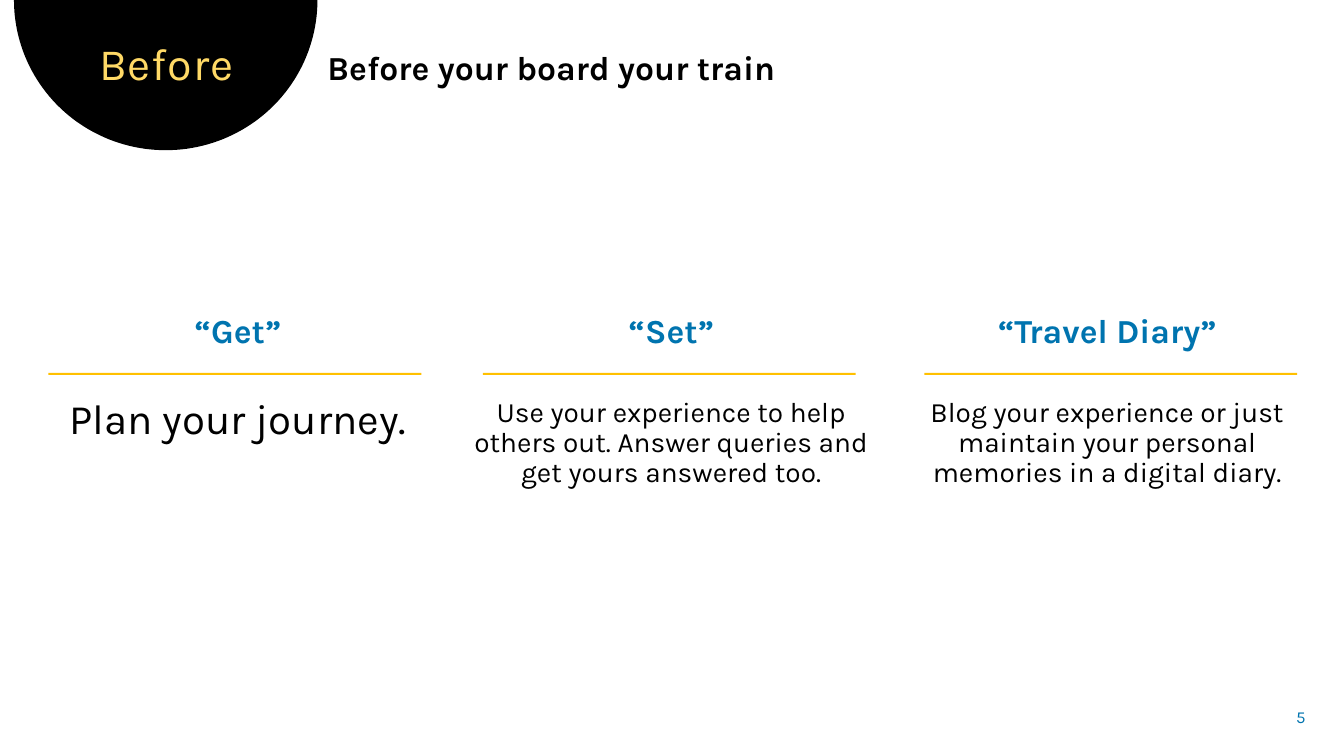
import math

import pptx
import pptx.dml.color
import pptx.enum.text
import pptx.util

ALIGN = pptx.enum.text.PP_ALIGN
ANCHOR = pptx.enum.text.MSO_ANCHOR


def color(value):
    return pptx.dml.color.RGBColor.from_string(value)


class Deck:
    """Style and current slide, measured on a grid of 96 columns by 54 rows."""
    COLS, ROWS = 96, 54
    FONT = "Karla"
    BLACK, BLUE, GOLD, PALE = "000000", "0074AF", "FFC000", "FFD966"

    def __init__(self, prs):
        self.cell_w = prs.slide_width / self.COLS
        self.cell_h = prs.slide_height / self.ROWS
        self.s = prs.slides.add_slide(prs.slide_layouts[6])

    def point(self, col, row):
        return round(col * self.cell_w), round(row * self.cell_h)

    def box(self, col, row, cols, rows):
        return *self.point(col, row), *self.point(cols, rows)

    def paint(self, sp, fill):
        sp.shadow.inherit = False
        sp.fill.solid()
        sp.fill.fore_color.rgb = color(fill)
        sp.line.fill.background()

    def half_disc(self, center, rx, ry, fill, steps=90):
        arc = [self.point(center + rx * math.cos(math.pi * i / steps),
                          ry * math.sin(math.pi * i / steps))
               for i in range(steps + 1)]
        outline = self.s.shapes.build_freeform(*arc[0])
        outline.add_line_segments(arc[1:], close=True)
        self.paint(outline.convert_to_shape(), fill)

    def rule(self, col, row, cols, rows=0.14):
        sp = self.s.shapes.add_shape(pptx.enum.shapes.MSO_SHAPE.RECTANGLE,
                                     *self.box(col, row, cols, rows))
        self.paint(sp, self.GOLD)

    def text(self, area, align, *paragraphs, anchor=ANCHOR.TOP, spacing=0.9):
        """Each paragraph is (text, size, colour, bold, space after)."""
        tf = self.s.shapes.add_textbox(*self.box(*area)).text_frame
        tf.word_wrap = True
        tf.vertical_anchor = anchor
        for i, (words, size, ink, bold, after) in enumerate(paragraphs):
            p = tf.add_paragraph() if i else tf.paragraphs[0]
            p.text = words
            p.alignment = align
            p.line_spacing = spacing
            p.space_before = pptx.util.Pt(10 if i else 0)
            p.space_after = pptx.util.Pt(after)
            p.font.name = self.FONT
            p.font.size = pptx.util.Pt(size)
            p.font.bold = bold
            p.font.color.rgb = color(ink)
        return tf


def main():
    prs = pptx.Presentation()
    prs.slide_width = pptx.util.Inches(13.33)
    prs.slide_height = pptx.util.Inches(7.5)
    deck = Deck(prs)

    # Header: half disc with the stage name, and the heading beside it
    deck.half_disc(11.84, 10.84, 10.73, deck.BLACK)
    tf = deck.text((2.52, 2.66, 18.72, 4.25), ALIGN.CENTER,
                   ("Before", 32, deck.PALE, False, 0))
    tf.paragraphs[0].runs[0].font._element.set("spc", "60")
    deck.text((22.68, 3.31, 71.5, 3.31), ALIGN.LEFT,
              ("Before your board your train", 24, deck.BLACK, True, 0))

    # Three columns: text left and width, rule left, heading, body, body size
    columns = [
        (2.38, 29.23, 3.46, "“Get”", "Plan your journey.", 30),
        (32.83, 30.24, 34.49, "“Set”",
         "Use your experience to help others out. "
         "Answer queries and get yours answered too.", 20),
        (64.22, 29.74, 66.02, "“Travel Diary”",
         "Blog your experience or just maintain your personal "
         "memories in a digital diary.", 20),
    ]
    for left, width, rule_left, heading, body, size in columns:
        deck.text((left, 22.1, width, 13.32), ALIGN.CENTER,
                  (heading, 24, deck.BLUE, True, 24),
                  (body, size, deck.BLACK, False, 12))
        deck.rule(rule_left, 26.64, 26.64)

    # Slide number
    deck.text((90, 49.75, 3.96, 2.88), ALIGN.RIGHT,
              ("5", 12, deck.BLUE, False, 0), anchor=ANCHOR.MIDDLE, spacing=1.0)

    prs.save("out.pptx")


if __name__ == "__main__":
    main()
